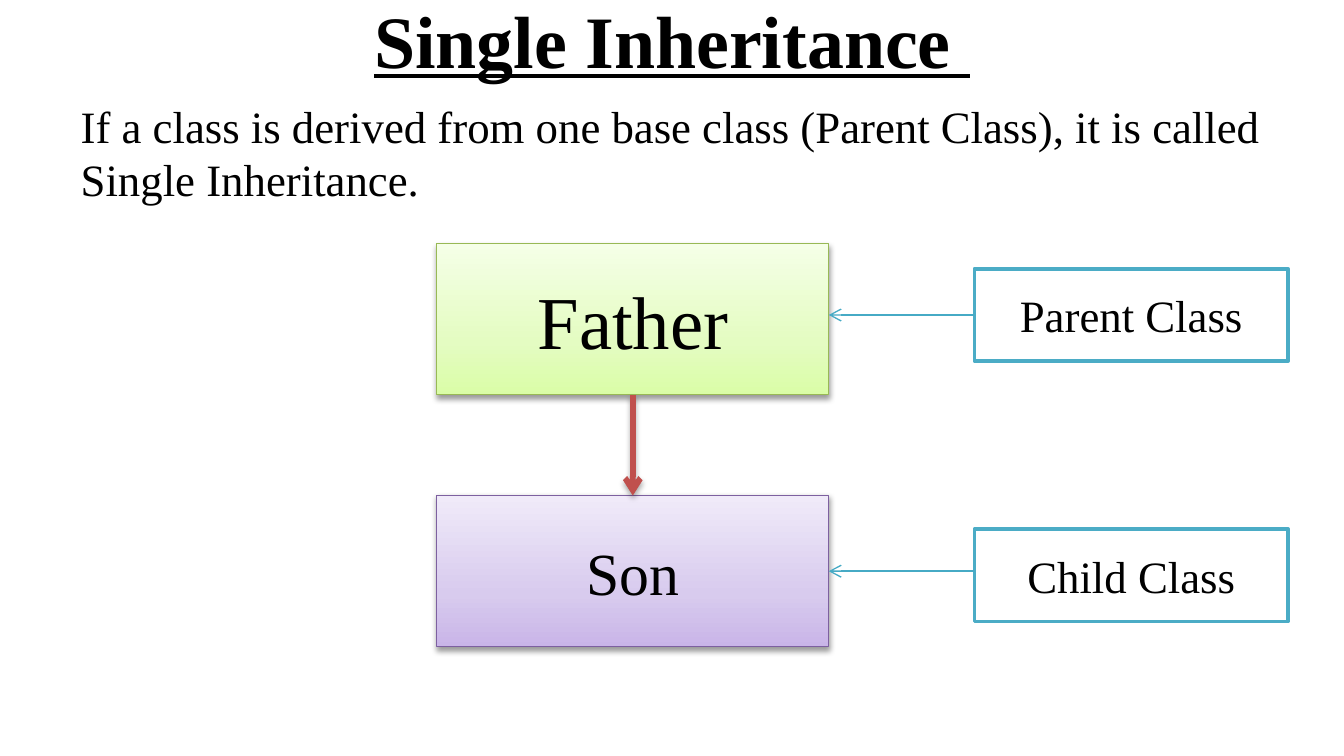
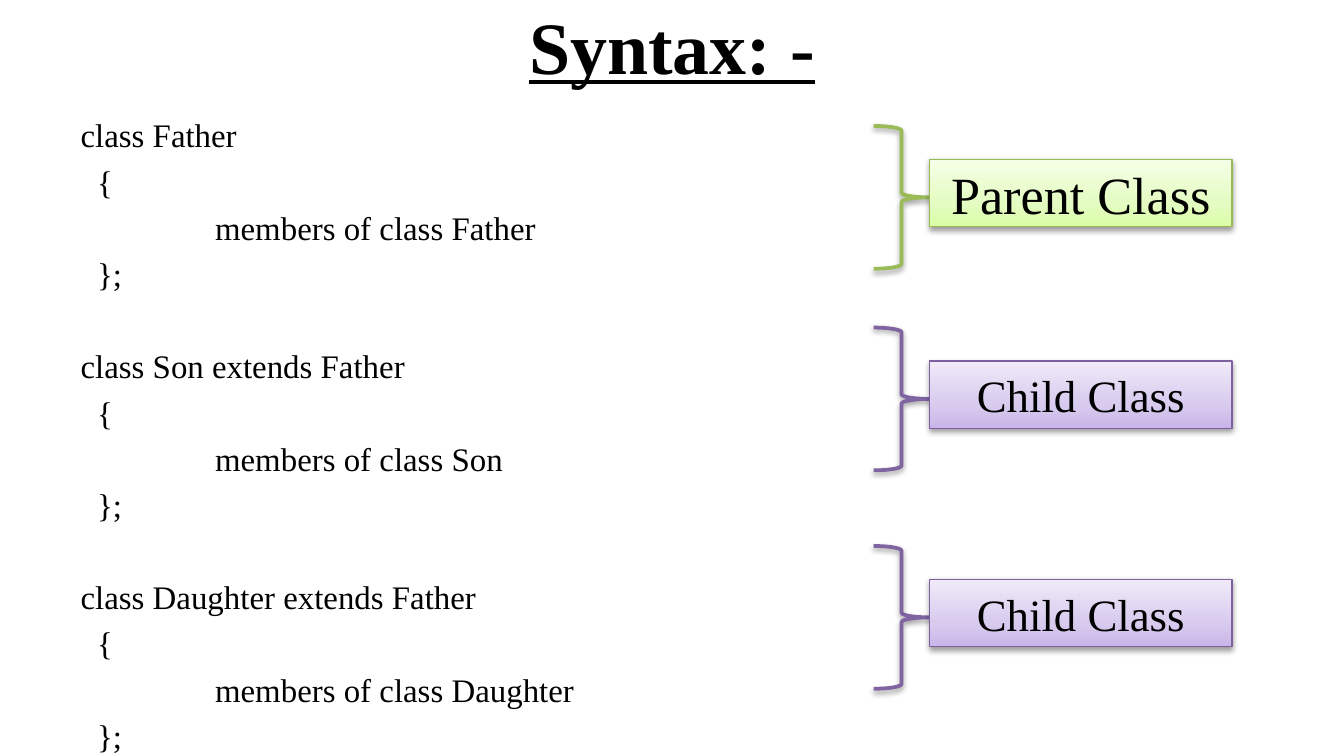
from dataclasses import dataclass

import pptx
import pptx.dml.color
import pptx.enum.shapes
import pptx.enum.text
import pptx.oxml.ns
import pptx.util
from lxml import etree

qn = pptx.oxml.ns.qn
Pt = pptx.util.Pt
RGB = pptx.dml.color.RGBColor.from_string
SHAPE = pptx.enum.shapes.MSO_SHAPE
ALIGN = pptx.enum.text.PP_ALIGN


@dataclass(frozen=True)
class Style:
    line: str
    weight: float
    stops: tuple = ()  # gradient colours from bottom to top
    opacity: int = 0  # shadow opacity in percent


@dataclass(frozen=True)
class Theme:
    font: str = "Times New Roman"
    ink: str = "000000"
    title: float = 39.6
    text: float = 24
    code: float = 17.6
    parent: Style = Style("98B955", 0.75, ("DAFDA7", "E4FCC2", "F5FFE7"), 38)
    child: Style = Style("7D60A0", 0.75, ("C9B5E8", "D8CBEE", "F0EAF9"), 38)
    label: Style = Style("4BACC6", 2, ("FFFFFF",))
    parent_brace: Style = Style("9BBB59", 2, (), 38)
    child_brace: Style = Style("8064A2", 2, (), 38)
    pointer: Style = Style("46AAC5", 0.75)
    descent: Style = Style("C0504D", 3, (), 35)


theme = Theme()
presentation = pptx.Presentation()
presentation.slide_width = pptx.util.Inches(10)
presentation.slide_height = presentation.slide_width * 9 // 16

# Grid: 120 columns by 90 rows
column = presentation.slide_width / 120
row = presentation.slide_height / 90
shadows = []


def write(paragraph, text, size, heading=False):
    run = paragraph.add_run()
    run.text = text
    run.font.name = theme.font
    run.font.size = Pt(size)
    run.font.color.rgb = RGB(theme.ink)
    run.font.bold = run.font.underline = heading


def add_block(slide, kind, cells, style, label="", size=theme.text):
    left, top, width, height = cells
    shape = slide.shapes.add_shape(kind, round(left * column), round(top * row),
                                   round(width * column), round(height * row))
    shape.shadow.inherit = False
    shape.line.color.rgb = RGB(style.line)
    shape.line.width = Pt(style.weight)
    if len(style.stops) == 3:
        shape.fill.gradient()
        gradient = shape._element.spPr.find(qn("a:gradFill"))
        stop_list = gradient.find(qn("a:gsLst"))
        for stop in list(stop_list):
            stop_list.remove(stop)
        for position, colour in zip((0, 35000, 100000), style.stops):
            stop = etree.SubElement(stop_list, qn("a:gs"), pos=str(position))
            etree.SubElement(stop, qn("a:srgbClr"), val=colour)
        shape.fill.gradient_angle = 90
    elif style.stops:
        shape.fill.solid()
        shape.fill.fore_color.rgb = RGB(style.stops[0])
    else:
        shape.fill.background()
    if label:
        shape.text_frame.vertical_anchor = pptx.enum.text.MSO_ANCHOR.MIDDLE
        paragraph = shape.text_frame.paragraphs[0]
        paragraph.alignment = ALIGN.CENTER
        write(paragraph, label, size)
    if style.opacity:
        shadows.append((shape, style.opacity))
    return shape


# Titles and body text
definition = ["If a class is derived from one base class (Parent Class), "
              "it is called Single Inheritance."]
syntax = []
for name, parent in (("Father", ""), ("Son", " extends Father"),
                     ("Daughter", " extends Father")):
    syntax += [f"class {name}{parent}", "  {", f"members of class {name}", "  };"]

pages = (
    ("Single Inheritance ", -1.7, definition, (6, 10.9, 108, 16), theme.text),
    ("Syntax: -", -1, syntax, (6, 12.9, 63, 71), theme.code),
)
slides = []
for title, title_top, lines, body_cells, size in pages:
    slide = presentation.slides.add_slide(presentation.slide_layouts[1])
    slides.append(slide)
    heading, body = slide.placeholders
    for placeholder, cells in ((heading, (6, title_top, 108, 12.6)), (body, body_cells)):
        left, top, width, height = cells
        placeholder.left, placeholder.width = round(left * column), round(width * column)
        placeholder.top, placeholder.height = round(top * row), round(height * row)
        placeholder.text_frame.word_wrap = True
        placeholder.text_frame.auto_size = pptx.enum.text.MSO_AUTO_SIZE.NONE
    heading.text_frame.vertical_anchor = pptx.enum.text.MSO_ANCHOR.MIDDLE
    paragraph = heading.text_frame.paragraphs[0]
    paragraph.alignment = ALIGN.CENTER
    write(paragraph, title, theme.title, heading=True)

    for index, line in enumerate(lines):
        paragraph = body.text_frame.paragraphs[0] if index == 0 else body.text_frame.add_paragraph()
        # Class members are indented
        margin = 12 * column if line.startswith("members") else 0
        properties = paragraph._p.get_or_add_pPr()
        properties.set("marL", str(round(margin)))
        properties.set("indent", "0")
        etree.SubElement(properties, qn("a:buNone"))
        # Each class starts after a gap of one line
        paragraph.space_before = Pt(0 if index == 0 else 3.7 if index % 4 else 28)
        write(paragraph, line, size)

# Single inheritance: two classes with their labels
diagram, code = slides
father = add_block(diagram, SHAPE.RECTANGLE, (39, 29, 35, 18), theme.parent, "Father", 40)
son = add_block(diagram, SHAPE.RECTANGLE, (39, 59, 35, 18), theme.child, "Son", 32)
parent_label = add_block(diagram, SHAPE.RECTANGLE, (87, 32, 28, 11), theme.label, "Parent Class")
child_label = add_block(diagram, SHAPE.RECTANGLE, (87, 63, 28, 11), theme.label, "Child Class")

# Arrows: start, end, style, joined shape and side at each end
arrows = (
    ((56.5, 47), (56.5, 59), theme.descent, (father, 2), (son, 0)),
    ((87, 37.5), (74, 37.5), theme.pointer, (parent_label, 1), None),
    ((87, 68), (74, 68), theme.pointer, None, (son, 3)),
)
for start, end, style, origin, target in arrows:
    arrow = diagram.shapes.add_connector(
        pptx.enum.shapes.MSO_CONNECTOR.STRAIGHT,
        round(start[0] * column), round(start[1] * row),
        round(end[0] * column), round(end[1] * row))
    if origin:
        arrow.begin_connect(*origin)
    if target:
        arrow.end_connect(*target)
    arrow.line.color.rgb = RGB(style.line)
    arrow.line.width = Pt(style.weight)
    properties = arrow._element.spPr
    etree.SubElement(properties.find(qn("a:ln")), qn("a:tailEnd"), type="arrow")
    etree.SubElement(properties, qn("a:effectLst"))
    if style.opacity:
        shadows.append((arrow, style.opacity))

# Syntax: a brace and a label beside each class
for top, brace, style, label, size in (
    (15, theme.parent_brace, theme.parent, "Parent Class", 28),
    (39, theme.child_brace, theme.child, "Child Class", theme.text),
    (65, theme.child_brace, theme.child, "Child Class", theme.text),
):
    add_block(code, SHAPE.RIGHT_BRACE, (78, top, 5, 17), brace)
    add_block(code, SHAPE.RECTANGLE, (83, top + 4, 27, 8), style, label, size)

# Soft shadows below
for shape, opacity in shadows:
    effects = shape._element.spPr.find(qn("a:effectLst"))
    shadow = etree.SubElement(effects, qn("a:outerShdw"), blurRad=str(Pt(3.1)),
                              dist=str(Pt(1.6)), dir="5400000", rotWithShape="0")
    colour = etree.SubElement(shadow, qn("a:srgbClr"), val=theme.ink)
    etree.SubElement(colour, qn("a:alpha"), val=str(opacity * 1000))

presentation.save("out.pptx")
